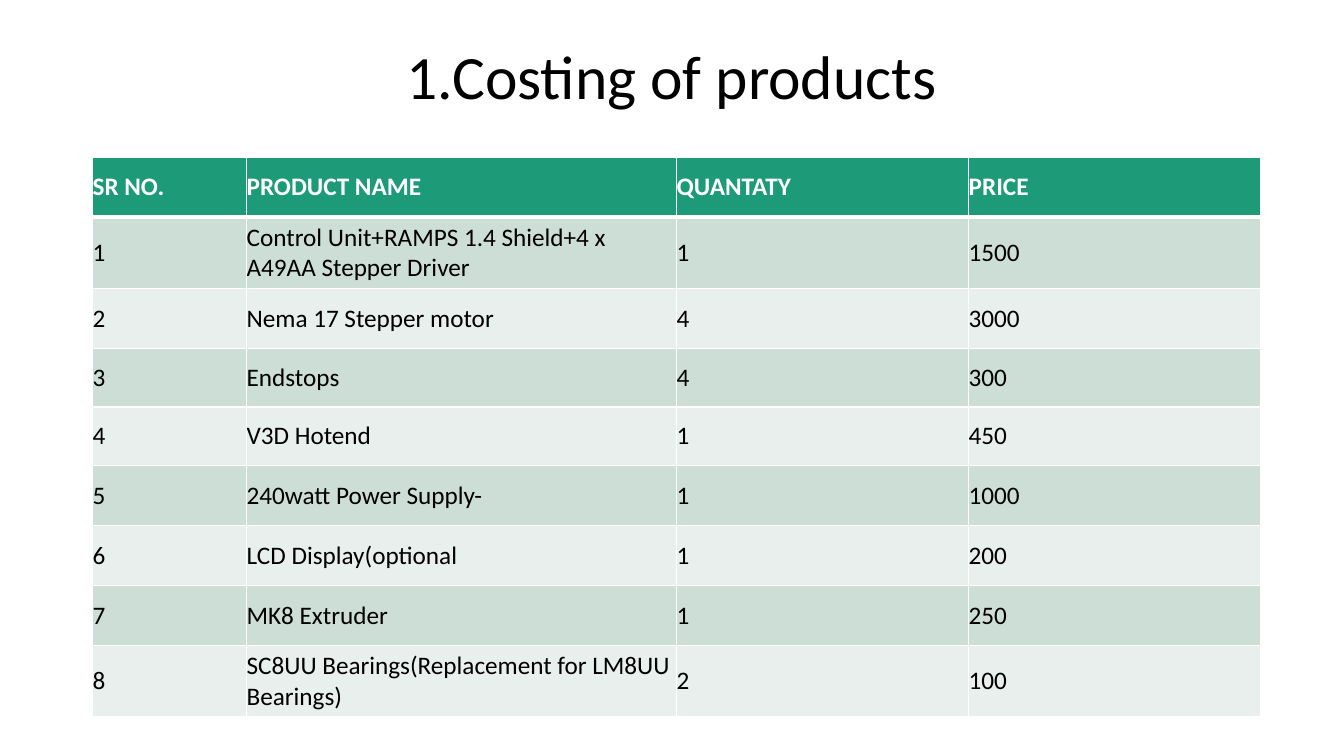
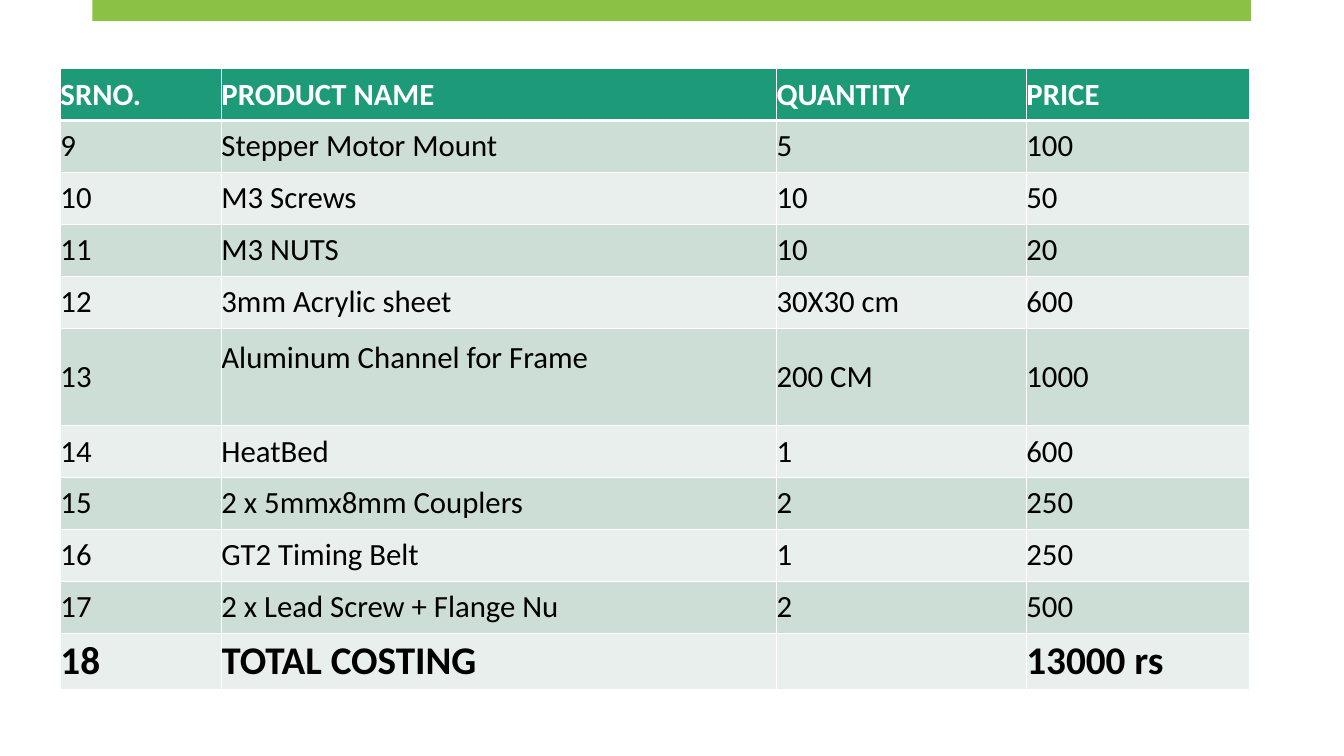
from lxml import etree
from pptx import Presentation
from pptx import util as u
from pptx.dml.color import RGBColor
from pptx.enum import shapes, text
from pptx.oxml import ns

Pt = u.Pt
FONT = "Calibri"
BLACK = RGBColor(0x00, 0x00, 0x00)
WHITE = RGBColor(0xFF, 0xFF, 0xFF)
HEAD = RGBColor(0x1D, 0x9A, 0x78)
BANDS = (RGBColor(0xCD, 0xDE, 0xD6), RGBColor(0xE8, 0xEF, 0xEC))
LIME = RGBColor(0x8B, 0xC1, 0x45)

PARTS = [
    ("SR NO.", "PRODUCT NAME", "QUANTATY", "PRICE"),
    ("1", "Control Unit+RAMPS 1.4 Shield+4 x A49AA Stepper Driver", "1", "1500"),
    ("2", "Nema 17 Stepper motor", "4", "3000"),
    ("3", "Endstops", "4", "300"),
    ("4", "V3D Hotend", "1", "450"),
    ("5", "240watt Power Supply-", "1", "1000"),
    ("6", "LCD Display(optional", "1", "200"),
    ("7", "MK8 Extruder", "1", "250"),
    ("8", "SC8UU Bearings(Replacement for LM8UU Bearings)", "2", "100"),
]
MORE_PARTS = [
    ("SRNO.", "PRODUCT NAME", "QUANTITY", "PRICE"),
    ("9", "Stepper Motor Mount", "5", "100"),
    ("10", "M3 Screws", "10", "50"),
    ("11", "M3 NUTS", "10", "20"),
    ("12", "3mm Acrylic sheet", "30X30 cm", "600"),
    ("13", "Aluminum Channel for Frame", "200 CM", "1000"),
    ("14", "HeatBed", "1", "600"),
    ("15", "2 x 5mmx8mm Couplers", "2", "250"),
    ("16", "GT2 Timing Belt", "1", "250"),
    ("17", "2 x Lead Screw + Flange Nu", "2", "500"),
    ("18", "TOTAL COSTING", "", "13000 rs"),
]


def set_attrs(obj, **values):
    """Set each named attribute on an object."""
    for name, value in values.items():
        setattr(obj, name, value)


def style_font(font, size, color, bold=False):
    """Apply the deck typeface with a size, colour and weight."""
    set_attrs(font, name=FONT, size=Pt(size), bold=bold)
    font.color.rgb = color


def set_borders(cell, top, bottom):
    """Draw white borders round a cell, with widths for top and bottom."""
    tcPr = cell._tc.get_or_add_tcPr()
    widths = {"lnL": 1, "lnR": 1, "lnT": top, "lnB": bottom}
    for i, (tag, width) in enumerate(widths.items()):
        ln = etree.Element(ns.qn(f"a:{tag}"), w=str(int(Pt(width))))
        fill = etree.SubElement(ln, ns.qn("a:solidFill"))
        etree.SubElement(fill, ns.qn("a:srgbClr"), val=str(WHITE))
        tcPr.insert(i, ln)


def add_title(slide, box, title):
    """Place a centred title in a box."""
    tf = slide.shapes.add_textbox(*map(Pt, box)).text_frame
    set_attrs(tf, word_wrap=True, vertical_anchor=text.MSO_ANCHOR.MIDDLE)
    p = tf.paragraphs[0]
    set_attrs(p, text=title, alignment=text.PP_ALIGN.CENTER, line_spacing=0.9)
    style_font(p.font, 44, BLACK)


def add_band(slide, box):
    """Place a plain lime band in a box."""
    sp = slide.shapes.add_shape(shapes.MSO_SHAPE.RECTANGLE, *map(Pt, box))
    sp.shadow.inherit = False
    sp.fill.solid()
    sp.fill.fore_color.rgb = LIME
    sp.line.fill.background()


def add_cost_table(slide, origin, widths, heights, rows, size, total_size=None):
    """Place a banded cost table at an origin and return it."""
    box = (*origin, sum(widths), sum(heights))
    table = slide.shapes.add_table(len(rows), len(widths), *map(Pt, box)).table
    for col, width in zip(table.columns, widths):
        col.width = Pt(width)
    for r, (row, height, values) in enumerate(zip(table.rows, heights, rows)):
        row.height = Pt(height)
        is_head = r == 0
        is_total = total_size is not None and r == len(rows) - 1
        for cell, value in zip(row.cells, values):
            set_attrs(cell, margin_left=0, margin_right=0, margin_top=0, margin_bottom=0,
                      vertical_anchor=text.MSO_ANCHOR.MIDDLE, text=value)
            cell.fill.solid()
            cell.fill.fore_color.rgb = HEAD if is_head else BANDS[(r - 1) % 2]
            set_borders(cell, 3 if r == 1 else 1, 3 if is_head else 1)
            style_font(cell.text_frame.paragraphs[0].font, total_size if is_total else size,
                       WHITE if is_head else BLACK, is_head or is_total)
    return table


def build_costing(slide):
    """Build the titled slide with the first parts."""
    add_title(slide, (66, 28.8, 828, 56), "1.Costing of products")
    heights = [42.9, 50.9, 42.9, 41.8, 41.8, 42.9, 42.9, 42.9, 50.9]
    add_cost_table(slide, (66.2, 112.3), [110, 307.2, 208.6, 208.6], heights, PARTS, 18)


def build_total(slide):
    """Build the slide with the remaining parts and the total."""
    add_band(slide, (66, 0, 827.5, 15))
    heights = [37.1] * 5 + [69.6] + [37.1] * 4 + [40]
    table = add_cost_table(slide, (43.2, 49), [115, 396.5, 178.5, 159.5], heights,
                           MORE_PARTS, 22, 28)
    table.cell(5, 1).margin_bottom = Pt(27)


def main():
    """Build and save the deck."""
    prs = Presentation()
    set_attrs(prs, slide_width=Pt(960), slide_height=Pt(540))
    for build in (build_costing, build_total):
        build(prs.slides.add_slide(prs.slide_layouts[6]))
    prs.save("out.pptx")


if __name__ == "__main__":
    main()
